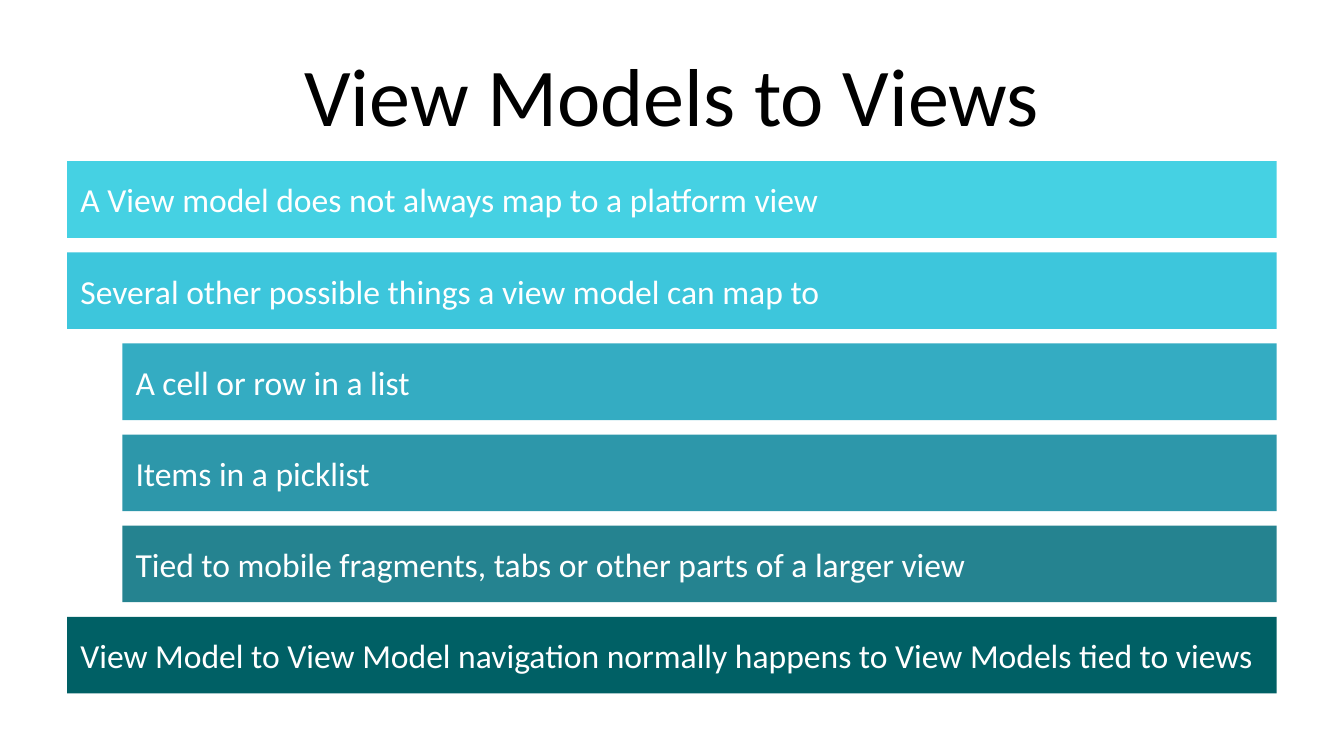
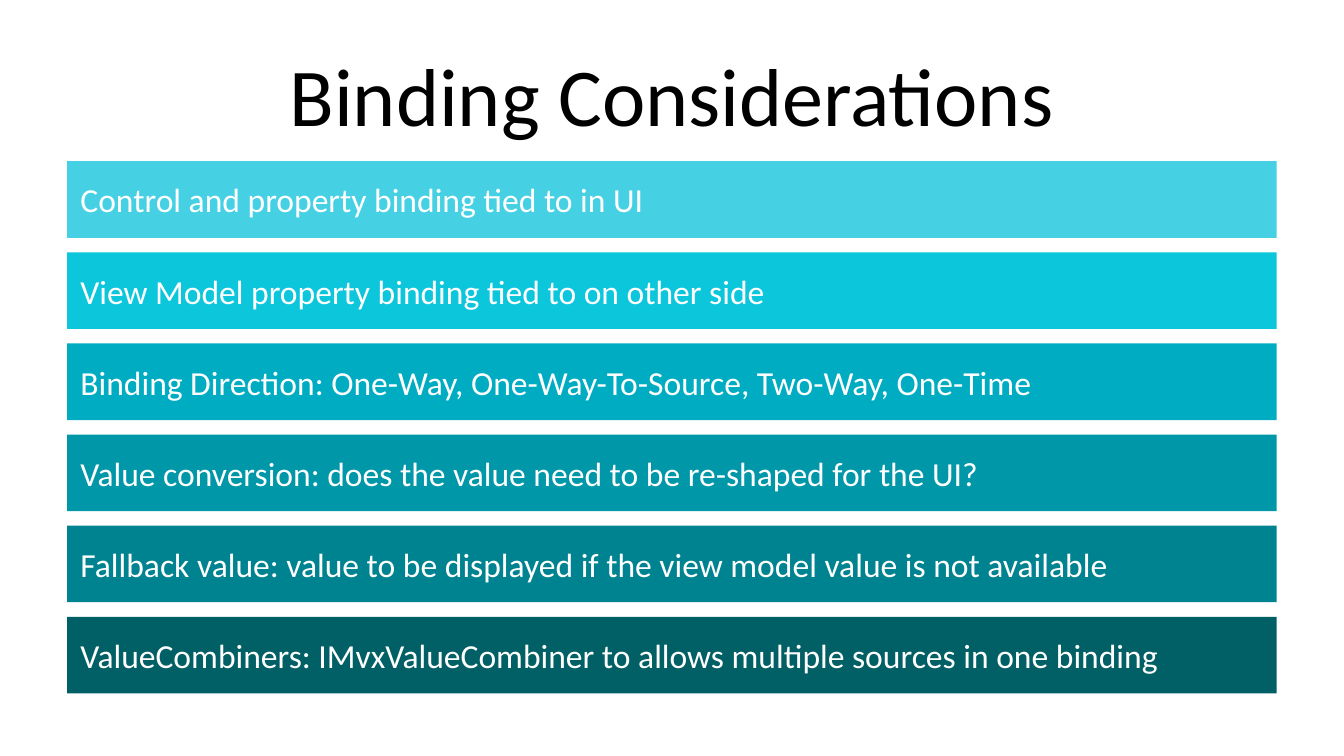
"""Build two slides of stacked, coloured statement bars."""
from dataclasses import dataclass

from pptx import Presentation
from pptx.dml.color import RGBColor
from pptx.enum import shapes, text
from pptx.util import Inches, Pt


@dataclass(frozen=True)
class Theme:
    """Colours, font and type sizes shared by the slides."""
    font: str = "Calibri"
    title_size: int = 44
    bar_size: int = 18
    title_color: str = "000000"
    bar_text: str = "FFFFFF"
    background: str = "FFFFFF"


@dataclass(frozen=True)
class Bar:
    """One statement, its fill and its outline level."""
    label: str
    fill: str
    level: int = 0


@dataclass(frozen=True)
class BarSlide:
    """A title above a stack of bars."""
    title: str
    bars: tuple[Bar, ...]


THEME = Theme()
LEFT, WIDTH = Inches(0.5), Inches(9)
TITLE_TOP, TITLE_HEIGHT = Inches(0.23), Inches(0.94)
BAR_TOP, LAST_BAR_TOP, BAR_HEIGHT = Inches(1.2), Inches(4.59), Inches(0.57)
INDENT = Inches(0.41)

SLIDES = (
    BarSlide("View Models to Views", (
        Bar("A View model does not always map to a platform view", "45D1E3"),
        Bar("Several other possible things a view model can map to", "3DC6DC"),
        Bar("A cell or row in a list", "34ACC2", 1),
        Bar("Items in a picklist", "2D97AA", 1),
        Bar("Tied to mobile fragments, tabs or other parts of a larger view", "258390", 1),
        Bar("View Model to View Model navigation normally happens to View Models tied to views", "006065"),
    )),
    BarSlide("Binding Considerations", (
        Bar("Control and property binding tied to in UI", "45D1E3"),
        Bar("View Model property binding tied to on other side", "0CC6DC"),
        Bar("Binding Direction: One-Way, One-Way-To-Source, Two-Way, One-Time", "00ACC2"),
        Bar("Value conversion: does the value need to be re-shaped for the UI?", "0097A9"),
        Bar("Fallback value: value to be displayed if the view model value is not available", "008390"),
        Bar("ValueCombiners: IMvxValueCombiner to allows multiple sources in one binding", "006065"),
    )),
)


def write(sp, label: str, size: int, color: str, align: text.PP_ALIGN) -> None:
    """Put one vertically centred line of text in a shape."""
    tf = sp.text_frame
    for name, value in {"word_wrap": True, "vertical_anchor": text.MSO_ANCHOR.MIDDLE}.items():
        setattr(tf, name, value)
    p = tf.paragraphs[0]
    p.alignment = align
    r = p.add_run()
    r.text = label
    for name, value in {"name": THEME.font, "size": Pt(size)}.items():
        setattr(r.font, name, value)
    r.font.color.rgb = RGBColor.from_string(color)


def add_title(s, title: str) -> None:
    """Draw the centred slide title."""
    sp = s.shapes.add_textbox(LEFT, TITLE_TOP, WIDTH, TITLE_HEIGHT)
    write(sp, title, THEME.title_size, THEME.title_color, text.PP_ALIGN.CENTER)


def add_bar(s, top: int, bar: Bar) -> None:
    """Draw a bar at the given top, indented by its level."""
    indent = bar.level * INDENT
    sp = s.shapes.add_shape(shapes.MSO_SHAPE.RECTANGLE, LEFT + indent, top, WIDTH - indent, BAR_HEIGHT)
    sp.shadow.inherit = False
    sp.fill.solid()
    sp.fill.fore_color.rgb = RGBColor.from_string(bar.fill)
    sp.line.fill.background()
    write(sp, bar.label, THEME.bar_size, THEME.bar_text, text.PP_ALIGN.LEFT)


def add_slide(prs, content: BarSlide) -> None:
    """Add a slide with its title and evenly spaced bars."""
    s = prs.slides.add_slide(prs.slide_layouts[6])
    s.background.fill.solid()
    s.background.fill.fore_color.rgb = RGBColor.from_string(THEME.background)
    add_title(s, content.title)
    pitch = (LAST_BAR_TOP - BAR_TOP) // (len(content.bars) - 1)
    for row, bar in enumerate(content.bars):
        add_bar(s, BAR_TOP + row * pitch, bar)


def main() -> None:
    """Build and save the presentation."""
    prs = Presentation()
    prs.slide_width = Inches(10)
    prs.slide_height = prs.slide_width * 9 // 16
    for content in SLIDES:
        add_slide(prs, content)
    prs.save("out.pptx")


if __name__ == "__main__":
    main()
